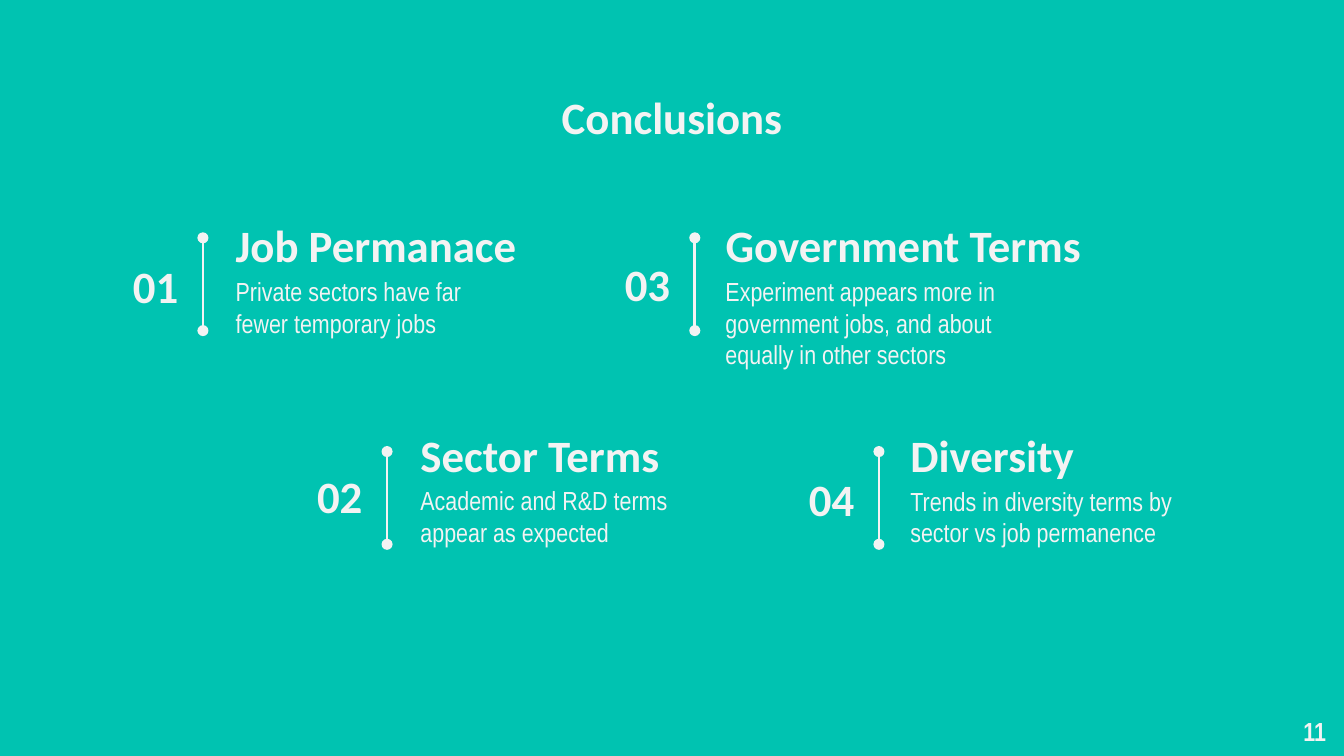
from dataclasses import dataclass

from lxml import etree
from pptx import Presentation
from pptx import util as u
from pptx.dml import color
from pptx.enum import shapes, text
from pptx.oxml import ns

PX = 4572  # EMU per px, 200 px to the inch


@dataclass(frozen=True)
class Theme:
    background: str = "00C3B1"
    ink: str = "F3F3F3"
    heading_font: str = "Calibri"
    body_font: str = "Arial Narrow"
    heading_size: int = 24
    body_size: int = 14
    line_width: float = 1.5


@dataclass(frozen=True)
class Box:
    left: int
    top: int
    width: int
    height: int


@dataclass(frozen=True)
class Conclusion:
    number: str
    heading: str
    body: str
    text_left: int
    line_x: int
    heading_top: int
    number_top: int
    line_top: int
    heading_width: int = 512
    body_width: int = 512
    body_offset: int = 72


THEME = Theme()
HEADING = {"name": THEME.heading_font, "size": u.Pt(THEME.heading_size), "bold": True}
BODY = {"name": THEME.body_font, "size": u.Pt(THEME.body_size), "bold": False}
PAGE_NUMBER = BODY | {"bold": True}

LEFT, CENTER, RIGHT = text.PP_ALIGN.LEFT, text.PP_ALIGN.CENTER, text.PP_ALIGN.RIGHT
TOP, MIDDLE = text.MSO_ANCHOR.TOP, text.MSO_ANCHOR.MIDDLE

SLIDE_WIDTH, SLIDE_HEIGHT = 2000, 1125
HEADING_HEIGHT, BODY_HEIGHT = 92, 142
NUMBER_OFFSET, NUMBER_WIDTH = 149, 132
LINE_LENGTH = 138

CONCLUSIONS = [
    Conclusion("01", "Job Permanace", "Private sectors have far fewer temporary jobs",
               331, 302, 318, 379, 354, body_width=442),
    Conclusion("02", "Sector Terms", "Academic and R&D terms appear as expected",
               606, 576, 630, 692, 672, body_offset=71),
    Conclusion("03", "Government Terms",
               "Experiment appears more in government jobs, and about equally in other sectors",
               1060, 1034, 318, 376, 354, heading_width=638),
    Conclusion("04", "Diversity", "Trends in diversity terms by sector vs job permanence",
               1335, 1308, 630, 696, 672),
]


def add_text(slide, box: Box, words: str, font: dict, align=LEFT, anchor=TOP,
             inset: int = 20, space_after: int = 0) -> None:
    shape = slide.shapes.add_textbox(box.left * PX, box.top * PX,
                                     box.width * PX, box.height * PX)
    frame = shape.text_frame
    frame_format = {"word_wrap": True, "vertical_anchor": anchor}
    frame_format |= {f"margin_{side}": inset * PX
                     for side in ("left", "top", "right", "bottom")}
    for name, value in frame_format.items():
        setattr(frame, name, value)
    paragraph = frame.paragraphs[0]
    paragraph.alignment = align
    paragraph.space_after = u.Pt(space_after)
    run = paragraph.add_run()
    run.text = words
    for name, value in font.items():
        setattr(run.font, name, value)
    run.font.color.rgb = color.RGBColor.from_string(THEME.ink)


def add_dotted_end_line(slide, x: int, top: int, length: int) -> None:
    line = slide.shapes.add_connector(shapes.MSO_CONNECTOR.STRAIGHT,
                                      x * PX, top * PX, x * PX, (top + length) * PX)
    line.line.width = u.Pt(THEME.line_width)
    line.line.color.rgb = color.RGBColor.from_string(THEME.ink)
    # Round ends, no shadow
    outline = line.line._get_or_add_ln()
    for end in ("a:headEnd", "a:tailEnd"):
        etree.SubElement(outline, ns.qn(end), type="oval")
    etree.SubElement(line._element.spPr, ns.qn("a:effectLst"))


def add_conclusion(slide, item: Conclusion) -> None:
    add_text(slide, Box(item.text_left, item.heading_top, item.heading_width, HEADING_HEIGHT),
             item.heading, HEADING, anchor=MIDDLE)
    add_text(slide, Box(item.text_left, item.heading_top + item.body_offset,
                        item.body_width, BODY_HEIGHT),
             item.body, BODY, space_after=16)
    add_text(slide, Box(item.line_x - NUMBER_OFFSET, item.number_top,
                        NUMBER_WIDTH, HEADING_HEIGHT),
             item.number, HEADING, align=RIGHT, anchor=MIDDLE)
    add_dotted_end_line(slide, item.line_x, item.line_top, LINE_LENGTH)


def main() -> None:
    presentation = Presentation()
    presentation.slide_width = SLIDE_WIDTH * PX
    presentation.slide_height = SLIDE_HEIGHT * PX
    slide = presentation.slides.add_slide(presentation.slide_layouts[6])

    # Background
    fill = slide.background.fill
    fill.solid()
    fill.fore_color.rgb = color.RGBColor.from_string(THEME.background)

    # Numbered conclusions
    for item in CONCLUSIONS:
        add_conclusion(slide, item)

    # Title and page number
    add_text(slide, Box(157, 111, 1686, 126), "Conclusions", HEADING,
             align=CENTER, anchor=MIDDLE, inset=0)
    add_text(slide, Box(1905, 1045, 88, 72), "11", PAGE_NUMBER, align=RIGHT)

    presentation.save("out.pptx")


if __name__ == "__main__":
    main()
